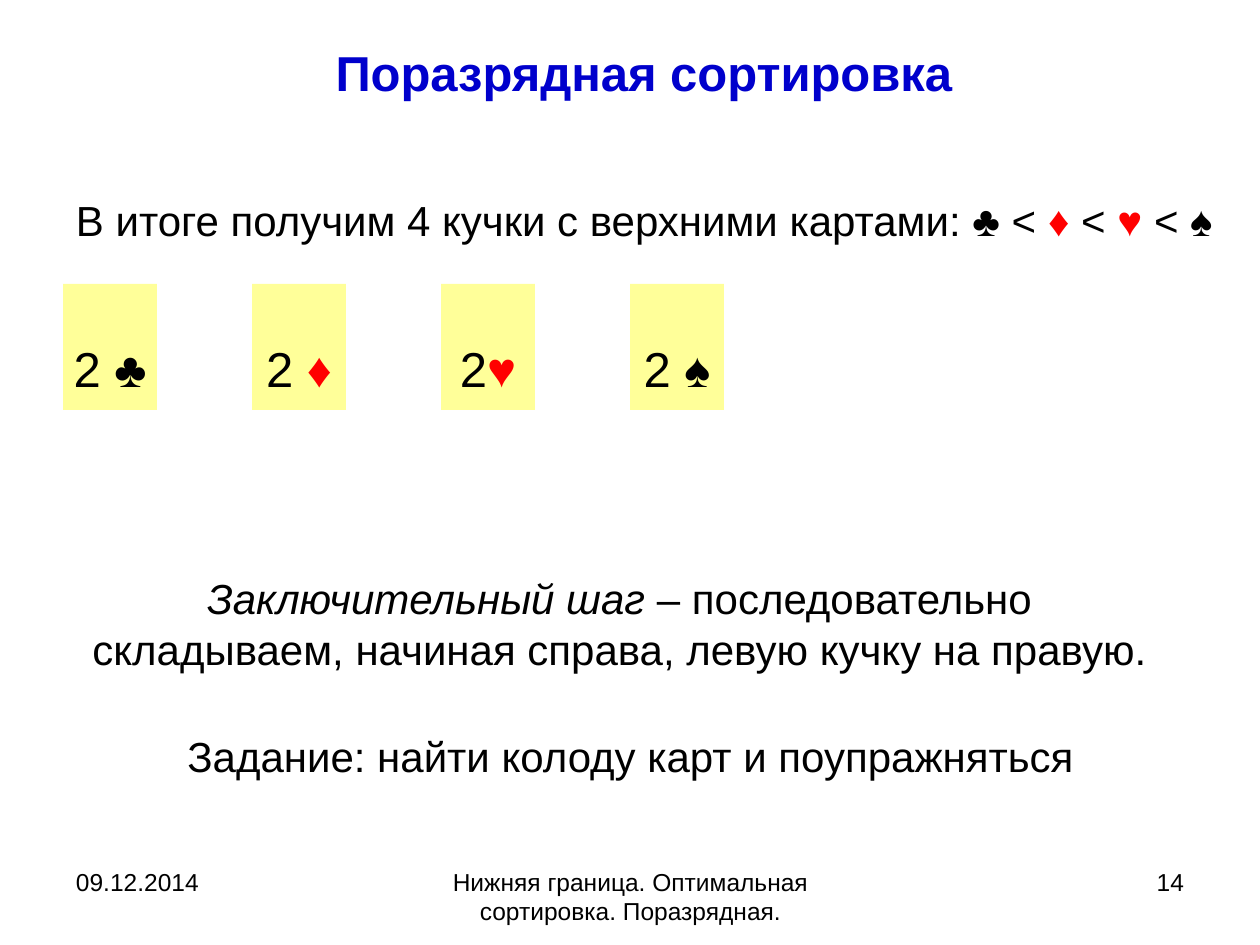
from dataclasses import dataclass
from pptx import Presentation
from pptx.dml.color import RGBColor
from pptx.enum.shapes import MSO_SHAPE
from pptx.enum.text import MSO_ANCHOR, PP_ALIGN
from pptx.util import Pt

PX = 914400 // 126


@dataclass(frozen=True)
class Theme:
    font: str = "Arial"
    ink: str = "000000"
    title_ink: str = "0000CC"
    suit_red: str = "FF0000"
    card: str = "FFFF99"
    large: int = 28
    body: int = 24
    small: int = 14


THEME = Theme()
RED = {"color": THEME.suit_red}
TITLE = {"size": THEME.large, "bold": True, "color": THEME.title_ink}
BODY = {"size": THEME.body}
SMALL = {"size": THEME.small}
LEFT, CENTER, RIGHT = PP_ALIGN.LEFT, PP_ALIGN.CENTER, PP_ALIGN.RIGHT
INSETS = (13, 6, 13, 6)

TEXTS = [
    ((0, 32, 1288, 788), CENTER, TITLE, (13, 10, 13, 6), [("Поразрядная сортировка", {})]),
    ((63, 189, 1197, 63), LEFT, BODY, INSETS, [
        ("В итоге получим 4 кучки с верхними картами: ♣ < ", {}),
        ("♦", RED), (" < ", {}), ("♥", RED), (" < ♠", {}),
    ]),
    ((63, 567, 1113, 113), CENTER, BODY, INSETS, [
        ("Заключительный шаг", {"italic": True}),
        (" – последовательно складываем, начиная справа, левую кучку на правую.", {}),
    ]),
    ((53, 725, 1155, 63), CENTER, BODY, INSETS, [
        ("Задание: найти колоду карт и поупражняться", {}),
    ]),
    ((63, 861, 294, 66), LEFT, SMALL, INSETS, [("09.12.2014", {})]),
    ((431, 861, 399, 66), CENTER, SMALL, INSETS, [
        ("Нижняя граница. Оптимальная сортировка. Поразрядная.", {}),
    ]),
    ((903, 861, 294, 66), RIGHT, SMALL, INSETS, [("14", {})]),
]

CARDS = [
    [("2 ♣", {})],
    [("2 ", {}), ("♦", RED)],
    [("2", {}), ("♥", RED)],
    [("2 ♠", {})],
]
CARD_LEFT, CARD_TOP, CARD_WIDTH, CARD_HEIGHT, CARD_STEP = 63, 284, 94, 126, 189
CARD_INSETS = (3, 1, 3, 13)


def write(shape, runs, alignment, style, insets, anchor):
    frame = shape.text_frame
    sides = ("margin_left", "margin_top", "margin_right", "margin_bottom")
    settings = {"word_wrap": True, "vertical_anchor": anchor}
    settings.update({side: inset * PX for side, inset in zip(sides, insets)})
    for name, value in settings.items():
        setattr(frame, name, value)
    paragraph = frame.paragraphs[0]
    paragraph.alignment = alignment
    for text, changes in runs:
        run = paragraph.add_run()
        run.text = text
        values = {"name": THEME.font, "color": THEME.ink, **style, **changes}
        run.font.color.rgb = RGBColor.from_string(values.pop("color"))
        values["size"] = Pt(values["size"])
        for name, value in values.items():
            setattr(run.font, name, value)


def add_card(slide, index, runs):
    box = (CARD_LEFT + index * CARD_STEP, CARD_TOP, CARD_WIDTH, CARD_HEIGHT)
    card = slide.shapes.add_shape(MSO_SHAPE.RECTANGLE, *(value * PX for value in box))
    card.shadow.inherit = False
    card.fill.solid()
    card.fill.fore_color.rgb = RGBColor.from_string(THEME.card)
    card.line.fill.background()
    write(card, runs, CENTER, {"size": THEME.large}, CARD_INSETS, MSO_ANCHOR.BOTTOM)


def main():
    presentation = Presentation()
    presentation.slide_width = 1260 * PX
    presentation.slide_height = 945 * PX
    slide = presentation.slides.add_slide(presentation.slide_layouts[6])
    for box, alignment, style, insets, runs in TEXTS:
        shape = slide.shapes.add_textbox(*(value * PX for value in box))
        write(shape, runs, alignment, style, insets, MSO_ANCHOR.TOP)
    for index, runs in enumerate(CARDS):
        add_card(slide, index, runs)
    presentation.save("out.pptx")


if __name__ == "__main__":
    main()
